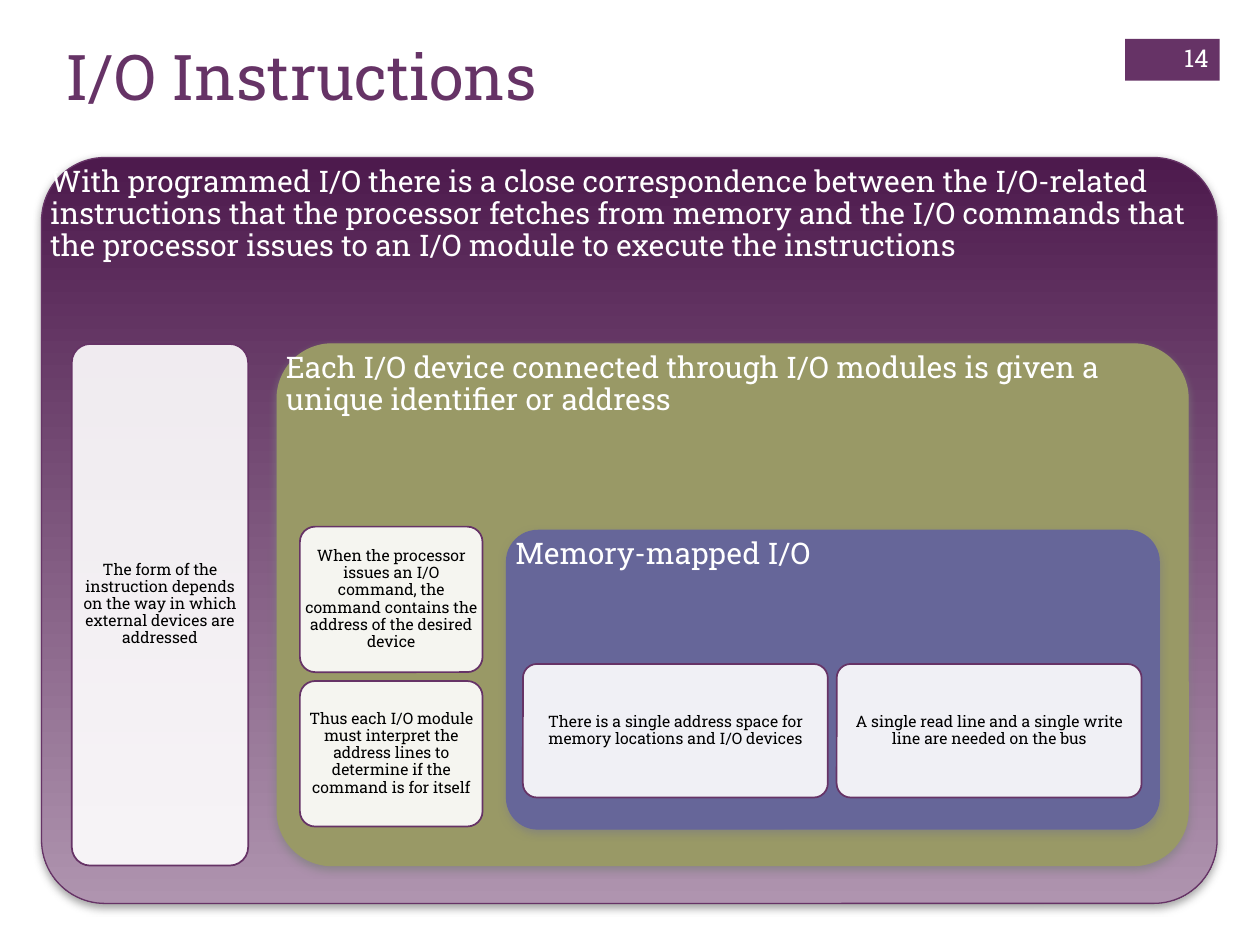
from dataclasses import dataclass

from lxml.etree import SubElement
from pptx import Presentation
from pptx.dml.color import RGBColor as Rgb
from pptx.enum.shapes import MSO_SHAPE as Preset
from pptx.enum.text import MSO_ANCHOR as Anchor, PP_ALIGN as Align
from pptx.oxml.ns import qn
from pptx.util import Inches, Pt


@dataclass(frozen=True)
class Theme:
    """Hold the colours and type sizes of the slide."""
    font: str = "Roboto Slab"
    purple: str = "663366"
    gradient: tuple = ("4D1A4D", "AF94AF")
    olive: str = "999966"
    blue: str = "666699"
    white: str = "FFFFFF"
    black: str = "000000"
    shadow: str = "808080"
    title: int = 36
    heading: int = 17
    number: int = 14
    body: int = 9


THEME = Theme()


def add_text(slide, box, text, size, color, align=Align.LEFT, anchor=Anchor.TOP,
             inset=(0.1, 0.05), spacing=1.0):
    """Write one wrapped paragraph in the box."""
    shape = slide.shapes.add_textbox(*map(Inches, box))
    frame = shape.text_frame
    frame.word_wrap = True
    frame.vertical_anchor = anchor
    frame.margin_left = frame.margin_right = Inches(inset[0])
    frame.margin_top = frame.margin_bottom = Inches(inset[1])
    paragraph = frame.paragraphs[0]
    paragraph.text = text
    paragraph.alignment = align
    paragraph.line_spacing = spacing
    paragraph.font.name = THEME.font
    paragraph.font.size = Pt(size)
    paragraph.font.color.rgb = Rgb.from_string(color)


def add_block(slide, box, fill, line=None, width=0.75, preset=Preset.ROUNDED_RECTANGLE,
              rounding=0.105):
    """Draw a solid or two-colour block without a shadow."""
    shape = slide.shapes.add_shape(preset, *map(Inches, box))
    shape.shadow.inherit = False
    if preset == Preset.ROUNDED_RECTANGLE:
        shape.adjustments[0] = rounding
    if isinstance(fill, tuple):
        shape.fill.gradient()
        shape.fill.gradient_angle = 270
        for stop, color in zip(shape.fill.gradient_stops, fill):
            stop.color.rgb = Rgb.from_string(color)
    else:
        shape.fill.solid()
        shape.fill.fore_color.rgb = Rgb.from_string(fill)
    if line:
        shape.line.color.rgb = Rgb.from_string(line)
        shape.line.width = Pt(width)
    else:
        shape.line.fill.background()
    return shape


def set_alpha(color, percent):
    """Give an XML colour its opacity."""
    SubElement(color, qn("a:alpha"), val=str(percent * 1000))


def add_panel(slide, box, text, fill, line, rounding=0.105):
    """Draw a shadowed panel with its heading at the top."""
    shape = add_block(slide, box, fill, line, rounding=rounding)
    effects = shape.element.spPr.find(qn("a:effectLst"))
    shadow = SubElement(effects, qn("a:outerShdw"), blurRad=str(Pt(5)), dist=str(Pt(2)),
                        dir="5400000", rotWithShape="0")
    set_alpha(SubElement(shadow, qn("a:srgbClr"), val=THEME.shadow), 75)
    add_text(slide, box, text, THEME.heading, THEME.white, inset=(0.07, 0.07), spacing=0.9)


def add_cards(slide, box, texts, gap=0.07, across=True):
    """Divide the box into equal translucent cards in a row or column."""
    left, top, width, height = box
    count = len(texts)
    if across:
        width = (width - gap * (count - 1)) / count
    else:
        height = (height - gap * (count - 1)) / count
    for index, text in enumerate(texts):
        card = (left + index * (width + gap) * across,
                top + index * (height + gap) * (not across), width, height)
        shape = add_block(slide, card, THEME.white, THEME.purple, 1)
        set_alpha(shape.element.spPr.find(qn("a:solidFill"))[0], 90)
        add_text(slide, card, text, THEME.body, THEME.black, Align.CENTER, Anchor.MIDDLE,
                 (0.04, 0.04), 0.9)


def add_header(slide, box):
    """Place the title and the page number badge."""
    left, top, width, height = box
    add_block(slide, (left + width - 0.76, top + 0.06, 0.75, 0.33), THEME.purple,
              preset=Preset.RECTANGLE)
    add_text(slide, (left, top, 8.26, height), "I/O Instructions", THEME.title, THEME.purple)
    add_text(slide, (left + width - 0.61, top + 0.01, 0.61, 0.4), "14", THEME.number,
             THEME.white, Align.RIGHT, Anchor.MIDDLE)


def add_memory_panel(slide, box):
    """Place the memory-mapped panel and its two cards."""
    left, top, width, height = box
    add_panel(slide, box, "Memory-mapped I/O", THEME.blue, THEME.blue)
    add_cards(slide, (left + 0.13, top + 1.06, width - 0.27, 1.06), [
        "There is a single address space for memory locations and I/O devices",
        "A single read line and a single write line are needed on the bus"])


def add_device_panel(slide, box):
    """Place the device panel, its two cards and the memory panel."""
    left, top, width, height = box
    add_panel(slide, box, "Each I/O device connected through I/O modules is given a unique "
              "identifier or address", THEME.olive, THEME.olive)
    add_cards(slide, (left + 0.18, top + 1.45, 1.45, 2.38), [
        "When the processor issues an I/O command, the command contains the address of the "
        "desired device",
        "Thus each I/O module must interpret the address lines to determine if the command "
        "is for itself"], across=False)
    add_memory_panel(slide, (left + 1.82, top + 1.48, width - 2.05, 2.37))


def add_program_panel(slide, box):
    """Place the outer panel, its tall card and the device panel."""
    left, top, width, height = box
    add_panel(slide, box, "With programmed I/O there is a close correspondence between the "
              "I/O-related instructions that the processor fetches from memory and the I/O "
              "commands that the processor issues to an I/O module to execute the "
              "instructions", THEME.gradient, THEME.purple, 0.085)
    add_cards(slide, (left + 0.24, top + 1.48, 1.4, 4.14), [
        "The form of the instruction depends on the way in which external devices are "
        "addressed"])
    add_device_panel(slide, (left + 1.87, top + 1.48, width - 2.1, 4.14))


def main():
    """Build and save the slide."""
    presentation = Presentation()
    presentation.slide_width = Inches(10)
    presentation.slide_height = Inches(7.5)
    slide = presentation.slides.add_slide(presentation.slide_layouts[6])
    add_header(slide, (0.42, 0.25, 9.27, 1.22))
    add_program_panel(slide, (0.33, 1.25, 9.33, 5.92))
    presentation.save("out.pptx")


main()
